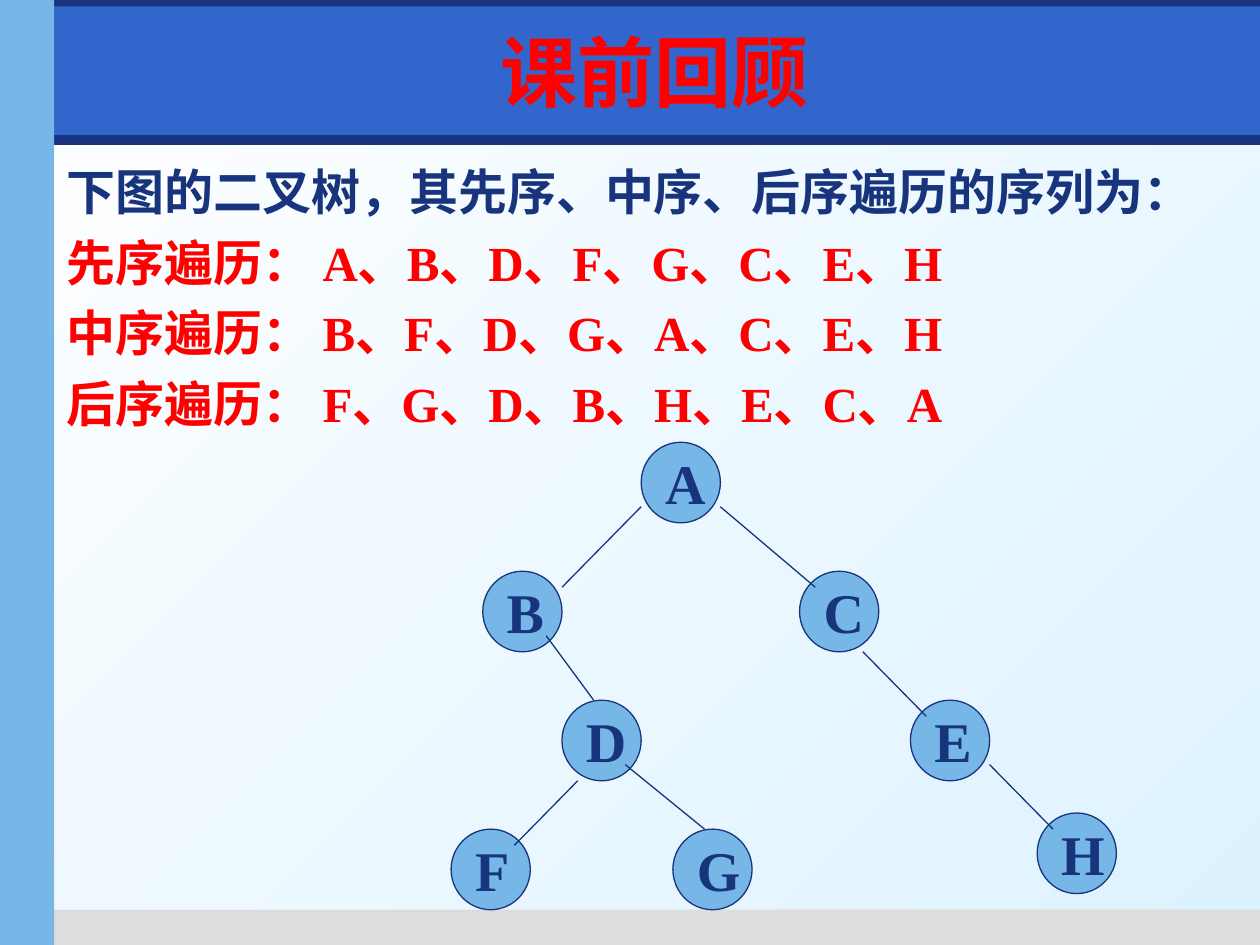
from dataclasses import dataclass

from lxml import etree
from pptx import Presentation
from pptx.dml.color import RGBColor
from pptx.enum import shapes, text
from pptx.oxml import ns
from pptx.util import Inches, Pt


@dataclass(frozen=True)
class Theme:
    """Colours, fonts and type sizes of the slide."""
    navy: str = "17347D"
    blue: str = "3366CC"
    sky: str = "77B7E7"
    grey: str = "DDDDDD"
    red: str = "FF0000"
    white: str = "FFFFFF"
    pale: str = "DDF2FF"
    serif: str = "Times New Roman"
    sans: str = "DejaVu Sans"
    title_size: float = 44
    body_size: float = 28
    node_size: float = 32
    line_width: float = 0.75
    body_gap: float = 6.8


THEME = Theme()
TREE_COLUMNS, TREE_ROWS, NODE_CELLS = 42, 29, 5
NODES = {"A": (12, 0), "B": (2, 8), "C": (22, 8), "D": (7, 16),
         "F": (0, 24), "G": (14, 24), "E": (29, 16), "H": (37, 23)}
BRANCHES = [((12, 4), (7, 9)), ((17, 4), (23, 9)), ((6, 12), (9, 16)),
            ((8, 21), (4, 25)), ((11, 20), (16, 24)),
            ((34, 20), (38, 24)), ((26, 13), (30, 17))]
TRAVERSALS = {"先序": "ABDFGCEH", "中序": "BFDGACEH", "后序": "FGDBHECA"}


def rgb(value):
    """Turn a hex string into a colour."""
    return RGBColor.from_string(value)


def style_runs(paragraph, size, font, color):
    """Format every run of a paragraph in bold."""
    for run in paragraph.runs:
        run.font.size = Pt(size)
        run.font.name = font
        run.font.bold = True
        run.font.color.rgb = rgb(color)


def place(placeholder, box):
    """Move a placeholder to a box, in front of what is drawn so far."""
    placeholder.left, placeholder.top, placeholder.width, placeholder.height = map(Inches, box)
    tree = placeholder._element.getparent()
    tree.append(placeholder._element)


def paint_background(slide):
    """Fill the slide with a diagonal gradient."""
    fill = slide.background.fill
    fill.gradient()
    fill.gradient_angle = 315
    for stop, color, position in zip(fill.gradient_stops, (THEME.white, THEME.pale), (0, 1)):
        stop.color.rgb = rgb(color)
        stop.position = position


def add_frame(slide, box):
    """Draw the header bands, the footer and the side strip."""
    left, top, width, height = box
    side = 0.43
    bands = [((0.04, 1.07, width - 0.04, 0.08), THEME.navy),
             ((0.35, height - 0.28, width - 0.35, 0.28), THEME.grey),
             ((0, -0.03, width, 0.24), THEME.navy),
             ((side, 0.05, width - side, 1.02), THEME.blue),
             ((0, 0, side, height), THEME.sky)]
    for (x, y, w, h), color in bands:
        band = slide.shapes.add_shape(shapes.MSO_SHAPE.RECTANGLE, Inches(left + x),
                                      Inches(top + y), Inches(w), Inches(h))
        band.shadow.inherit = False
        band.fill.solid()
        band.fill.fore_color.rgb = rgb(color)
        band.line.fill.background()


def add_traversals(slide, box):
    """List the question and the three traversal sequences."""
    body = slide.placeholders[1]
    place(body, box)
    frame = body.text_frame
    frame.word_wrap = True
    frame.auto_size = text.MSO_AUTO_SIZE.SHAPE_TO_FIT_TEXT
    frame.vertical_anchor = text.MSO_ANCHOR.TOP
    answers = [f"{order}遍历： {'、'.join(letters)}" for order, letters in TRAVERSALS.items()]
    frame.text = "\n".join(["下图的二叉树，其先序、中序、后序遍历的序列为：", *answers])
    for index, paragraph in enumerate(frame.paragraphs):
        properties = paragraph._p.get_or_add_pPr()
        properties.set("marL", "0")
        properties.set("indent", "0")
        etree.SubElement(properties, ns.qn("a:buNone"))
        paragraph.space_before = Pt(THEME.body_gap if index else 0)
        style_runs(paragraph, THEME.body_size, THEME.serif, THEME.red if index else THEME.navy)


def add_tree(slide, box):
    """Draw the binary tree on a grid that fills the box."""
    left, top, width, height = box
    column, row = width / TREE_COLUMNS, height / TREE_ROWS

    def at(cell):
        """Give the slide position of a grid point."""
        return Inches(left + cell[0] * column), Inches(top + cell[1] * row)

    for letter, cell in NODES.items():
        node = slide.shapes.add_shape(shapes.MSO_SHAPE.OVAL, *at(cell),
                                      Inches(NODE_CELLS * column), Inches(NODE_CELLS * row))
        node.shadow.inherit = False
        node.fill.solid()
        node.fill.fore_color.rgb = rgb(THEME.sky)
        node.line.color.rgb = rgb(THEME.navy)
        node.line.width = Pt(THEME.line_width)
        frame = node.text_frame
        frame.word_wrap = False
        frame.vertical_anchor = text.MSO_ANCHOR.MIDDLE
        frame.text = letter
        frame.paragraphs[0].alignment = text.PP_ALIGN.LEFT
        style_runs(frame.paragraphs[0], THEME.node_size, THEME.serif, THEME.navy)
    for start, end in BRANCHES:
        branch = slide.shapes.add_connector(shapes.MSO_CONNECTOR.STRAIGHT, *at(start), *at(end))
        branch.line.color.rgb = rgb(THEME.navy)
        branch.line.width = Pt(THEME.line_width)
        etree.SubElement(branch._element.spPr, ns.qn("a:effectLst"))


def add_title(slide, box):
    """Set the heading in the header band."""
    title = slide.shapes.title
    place(title, box)
    frame = title.text_frame
    frame.text = "课前回顾"
    frame.vertical_anchor = text.MSO_ANCHOR.MIDDLE
    frame.paragraphs[0].alignment = text.PP_ALIGN.CENTER
    style_runs(frame.paragraphs[0], THEME.title_size, THEME.sans, THEME.red)


def main():
    """Build the review slide and save it."""
    deck = Presentation()
    deck.slide_width, deck.slide_height = Inches(10), Inches(7.5)
    slide = deck.slides.add_slide(deck.slide_layouts[1])
    paint_background(slide)
    add_frame(slide, (0, 0, 10, 7.5))
    add_traversals(slide, (0.43, 1.23, 9.4, 2.28))
    add_tree(slide, (3.58, 3.51, 5.28, 3.71))
    add_title(slide, (0.59, 0.13, 9.21, 0.87))
    deck.save("out.pptx")


if __name__ == "__main__":
    main()
